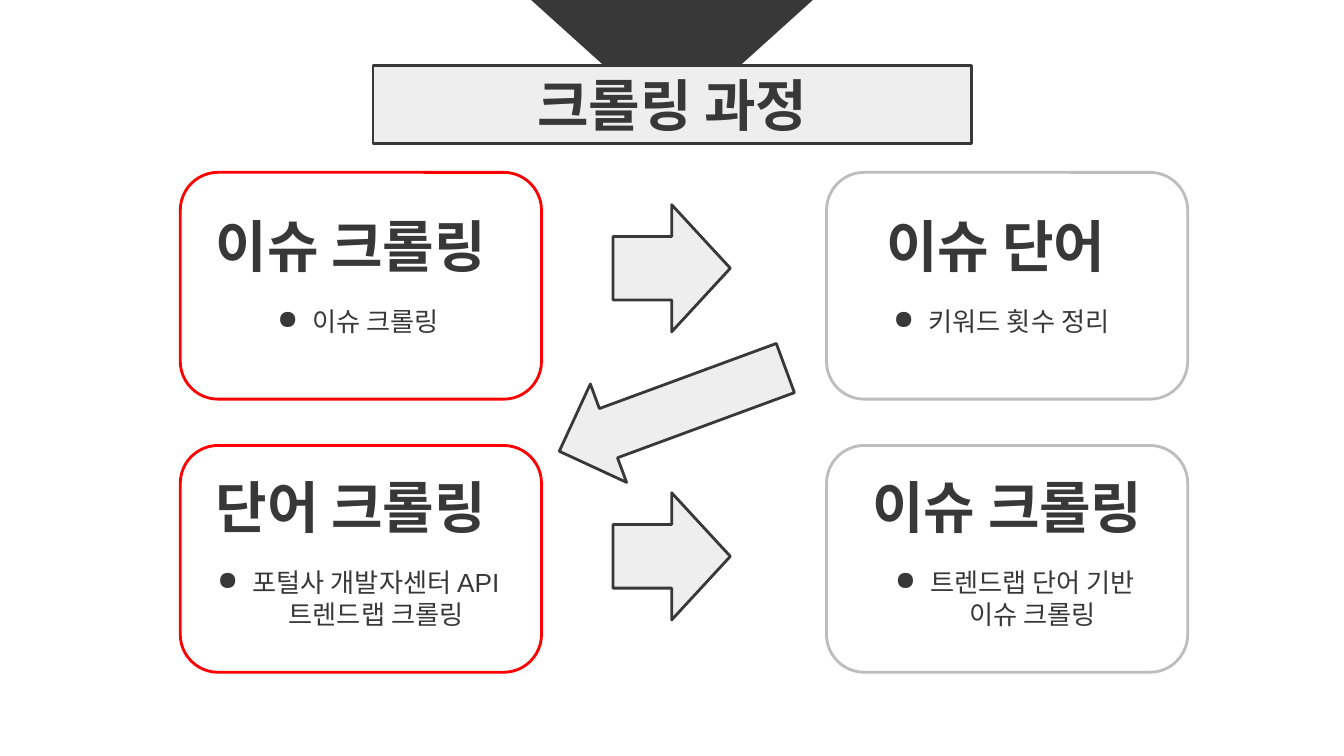
from dataclasses import dataclass

import lxml.etree
import pptx
import pptx.dml.color
import pptx.enum.shapes
import pptx.enum.text
import pptx.oxml.ns
import pptx.shapes.autoshape
import pptx.slide
import pptx.text.text
import pptx.util

Pt = pptx.util.Pt
Shape = pptx.shapes.autoshape.Shape
Preset = pptx.enum.shapes.MSO_SHAPE
Anchor = pptx.enum.text.MSO_ANCHOR

DARK = "383838"
LIGHT = "EEEEEE"
WHITE = "FFFFFF"
RED = "FF0000"
GREY = "BDBDBD"

CARD_WIDTH, CARD_HEIGHT = 258, 162
HEADING_HEIGHT, DETAIL_HEIGHT = 32.4, 103.7
LEFT_COLUMN, RIGHT_COLUMN = 128.8, 590.4
UPPER_ROW, LOWER_ROW = 123.1, 318.2


@dataclass(frozen=True)
class Box:
    left: float
    top: float
    width: float
    height: float


@dataclass(frozen=True)
class Card:
    left: float
    top: float
    border: str
    heading: str
    heading_left: float
    heading_width: float
    heading_top: float
    detail: str
    detail_left: float
    detail_width: float
    detail_top: float


@dataclass(frozen=True)
class Arrow:
    preset: Preset
    box: Box
    rotation: float = 0


CARDS = [
    Card(LEFT_COLUMN, UPPER_ROW, RED, "이슈 크롤링", 136.1, 229, 159.1,
         "이슈 크롤링", 87.8, 325.4, 211),
    Card(RIGHT_COLUMN, UPPER_ROW, GREY, "이슈 단어", 616.3, 190.1, 159.1,
         "키워드 횟수 정리", 547.2, 325.4, 211),
    Card(LEFT_COLUMN, LOWER_ROW, RED, "단어 크롤링", 136.1, 229, 345.6,
         "포털사 개발자센터 API 트렌드랩 크롤링", 128.9, 243.4, 397.4),
    Card(RIGHT_COLUMN, LOWER_ROW, GREY, "이슈 크롤링", 607.7, 223.9, 345.6,
         "트렌드랩 단어 기반 이슈 크롤링", 612, 215.3, 397.4),
]

ARROWS = [
    Arrow(Preset.RIGHT_ARROW, Box(437.9, 146.2, 83.8, 90.8)),
    Arrow(Preset.DOWN_ARROW, Box(442.8, 206.6, 74.9, 172.1), 69.8),
    Arrow(Preset.RIGHT_ARROW, Box(437.9, 352, 83.8, 90.8)),
]


def color(value: str) -> pptx.dml.color.RGBColor:
    return pptx.dml.color.RGBColor.from_string(value)


def place(shape: Shape, box: Box) -> None:
    shape.left, shape.top = Pt(box.left), Pt(box.top)
    shape.width, shape.height = Pt(box.width), Pt(box.height)


def paint(shape: Shape, fill: str, line: str) -> None:
    shape.fill.solid()
    shape.fill.fore_color.rgb = color(fill)
    shape.line.color.rgb = color(line)
    shape.line.width = Pt(2)


def add_shape(slide: pptx.slide.Slide, preset: Preset, box: Box,
              fill: str, line: str) -> Shape:
    shape = slide.shapes.add_shape(
        preset, Pt(box.left), Pt(box.top), Pt(box.width), Pt(box.height))
    shape.shadow.inherit = False
    paint(shape, fill, line)
    return shape


def write(shape: Shape, text: str, size: float, font: str, bold: bool,
          anchor: Anchor) -> pptx.text.text._Paragraph:
    frame = shape.text_frame
    frame.auto_size = pptx.enum.text.MSO_AUTO_SIZE.NONE
    frame.word_wrap = True
    frame.vertical_anchor = anchor
    frame.margin_left = frame.margin_right = Pt(7.2)
    frame.margin_top = frame.margin_bottom = Pt(7.2)
    paragraph = frame.paragraphs[0]
    paragraph.alignment = pptx.enum.text.PP_ALIGN.CENTER
    run = paragraph.add_run()
    run.text = text
    run.font.name = font
    run.font.size = Pt(size)
    run.font.bold = bold
    run.font.color.rgb = color(DARK)
    return paragraph


def write_heading(shape: Shape, text: str) -> None:
    write(shape, text, 40, "Roboto", True, Anchor.MIDDLE)


def add_bullet(paragraph: pptx.text.text._Paragraph) -> None:
    qn = pptx.oxml.ns.qn
    properties = paragraph._p.get_or_add_pPr()
    properties.set("marL", str(Pt(36)))
    properties.set("indent", str(Pt(-25.2)))
    bullet_color = lxml.etree.SubElement(properties, qn("a:buClr"))
    lxml.etree.SubElement(bullet_color, qn("a:srgbClr"), val=DARK)
    lxml.etree.SubElement(properties, qn("a:buChar"), char="●")


def add_text_box(slide: pptx.slide.Slide, box: Box) -> Shape:
    return slide.shapes.add_textbox(
        Pt(box.left), Pt(box.top), Pt(box.width), Pt(box.height))


def add_title(slide: pptx.slide.Slide) -> None:
    title = slide.shapes.title
    place(title, Box(266.4, 46.8, 427.7, 55.6))
    paint(title, LIGHT, DARK)
    write_heading(title, "크롤링 과정")
    funnel = add_shape(slide, Preset.ISOSCELES_TRIANGLE,
                       Box(379.4, 0, 201.2, 90.7), DARK, DARK)
    funnel.line.fill.background()
    funnel.rotation = 180
    title.element.addprevious(funnel.element)


def add_card(slide: pptx.slide.Slide, card: Card) -> None:
    add_shape(slide, Preset.ROUNDED_RECTANGLE,
              Box(card.left, card.top, CARD_WIDTH, CARD_HEIGHT),
              WHITE, card.border)
    heading = add_text_box(slide, Box(card.heading_left, card.heading_top,
                                      card.heading_width, HEADING_HEIGHT))
    write_heading(heading, card.heading)
    detail = add_text_box(slide, Box(card.detail_left, card.detail_top,
                                     card.detail_width, DETAIL_HEIGHT))
    add_bullet(write(detail, card.detail, 18.7, "Arial", False, Anchor.TOP))


def add_arrow(slide: pptx.slide.Slide, arrow: Arrow) -> None:
    shape = add_shape(slide, arrow.preset, arrow.box, LIGHT, DARK)
    shape.rotation = arrow.rotation


def main() -> None:
    presentation = pptx.Presentation()
    presentation.slide_width = Pt(960)
    presentation.slide_height = Pt(540)
    slide = presentation.slides.add_slide(presentation.slide_layouts[5])
    add_title(slide)
    for card in CARDS:
        add_card(slide, card)
    for arrow in ARROWS:
        add_arrow(slide, arrow)
    presentation.save("out.pptx")


if __name__ == "__main__":
    main()
